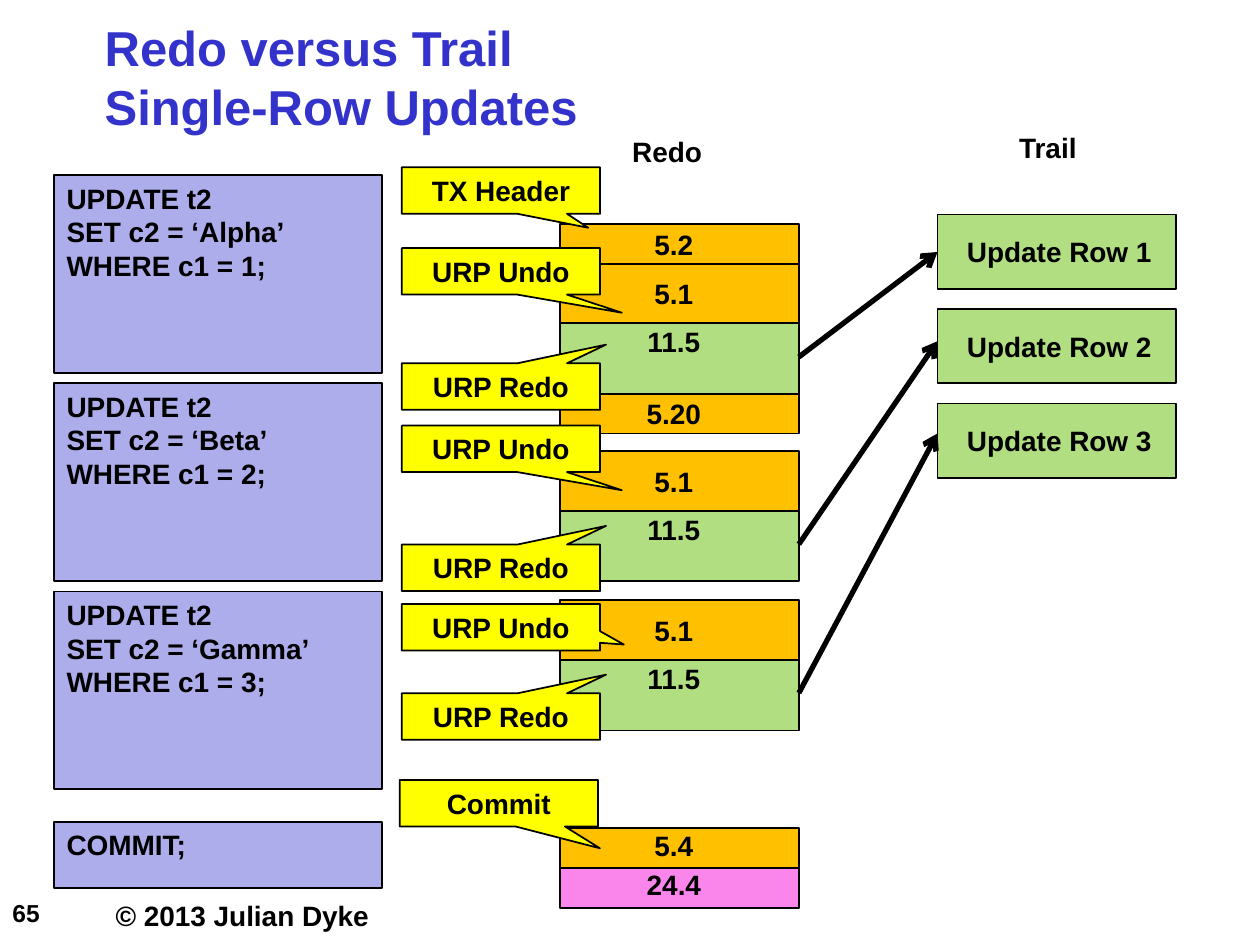
from lxml.etree import SubElement
from pptx import Presentation
from pptx.dml.color import RGBColor
from pptx.enum.shapes import MSO_CONNECTOR, MSO_SHAPE
from pptx.enum.text import MSO_ANCHOR, MSO_AUTO_SIZE, PP_ALIGN
from pptx.oxml.ns import qn
from pptx.util import Pt

COLORS = {
    "black": "000000", "title": "3333CC", "sql": "ADADEB", "callout": "FFFF00",
    "undo": "FFC000", "redo": "B2DE82", "commit": "FA86EC",
}

TITLE = "Redo versus Trail\vSingle-Row Updates"
# text, top, height; \v breaks a line
STATEMENTS = [
    ("UPDATE t2\vSET c2 = ‘Alpha’\vWHERE c1 = 1;", 100, 113),
    ("UPDATE t2\vSET c2 = ‘Beta’\vWHERE c1 = 2;", 219, 113),
    ("UPDATE t2\vSET c2 = ‘Gamma’\vWHERE c1 = 3;", 338, 113),
    ("COMMIT;", 469.6, 38),
]
# top of each stack, then its records as (text, kind)
STACKS = [
    (128, [("5.2", "header"), ("5.1", "undo"), ("11.5", "redo"), ("5.20", "header")]),
    (257.8, [("5.1", "undo"), ("11.5", "redo")]),
    (343, [("5.1", "undo"), ("11.5", "redo")]),
    (473.3, [("5.4", "end"), ("24.4", "commit")]),
]
# kind: height, colour, anchor, top inset
RECORDS = {
    "header": (22.7, "undo", MSO_ANCHOR.MIDDLE, 0),
    "undo": (34, "undo", MSO_ANCHOR.MIDDLE, 0),
    "redo": (40.4, "redo", MSO_ANCHOR.TOP, 1),
    "end": (22.7, "undo", MSO_ANCHOR.TOP, 0),
    "commit": (22.7, "commit", MSO_ANCHOR.TOP, 0),
}
UNDO_TIP, REDO_TIP = (0.61, 0.89), (0.53, -0.9)
# text, left, top, tip offset
CALLOUTS = [
    ("TX Header", 229.6, 95.6, (0.44, 0.8)),
    ("URP Undo", 229.6, 141.8, UNDO_TIP),
    ("URP Redo", 229.6, 207.6, REDO_TIP),
    ("URP Undo", 229.6, 243.2, UNDO_TIP),
    ("URP Redo", 229.6, 311.2, REDO_TIP),
    ("URP Undo", 229.6, 345.2, (0.62, 0.37)),
    ("URP Redo", 229.6, 396.2, REDO_TIP),
    ("Commit", 228.4, 445.7, (0.51, 0.97)),
]
TRAIL = ["Update Row 1", "Update Row 2", "Update Row 3"]
ARROW_ENDS = [(204, 144), (311, 195), (396, 247.7)]

REDO_X, TRAIL_X, RECORD_W = 320.2, 535.7, 136.3
TRAIL_TOP, TRAIL_H, TRAIL_STEP = 122.5, 42.5, 54


def rgb(name):
    return RGBColor.from_string(COLORS[name])


def write(sp, text, size=16, color="black", align=PP_ALIGN.LEFT,
          anchor=MSO_ANCHOR.TOP, insets=(7.2, 3.6, 7.2, 3.6), wrap=True):
    """Set bold text; insets run left, top, right, bottom."""
    tf = sp.text_frame
    tf.text = text
    tf.word_wrap = wrap
    tf.auto_size = MSO_AUTO_SIZE.NONE
    tf.vertical_anchor = anchor
    tf.margin_left, tf.margin_top, tf.margin_right, tf.margin_bottom = map(Pt, insets)
    p = tf.paragraphs[0]
    p.alignment = align
    p.font.name, p.font.size, p.font.bold = "Arial", Pt(size), True
    p.font.color.rgb = rgb(color)


def add_box(shapes, box, fill, text, kind=MSO_SHAPE.RECTANGLE, **style):
    sp = shapes.add_shape(kind, *map(Pt, box))
    sp.shadow.inherit = False
    sp.fill.solid()
    sp.fill.fore_color.rgb = rgb(fill)
    sp.line.color.rgb = rgb("black")
    sp.line.width = Pt(1)
    write(sp, text, **style)
    return sp


def add_label(shapes, box, text, **style):
    write(shapes.add_textbox(*map(Pt, box)), text, **style)


def add_arrow(shapes, x1, y1, x2, y2):
    line = shapes.add_connector(MSO_CONNECTOR.STRAIGHT, *map(Pt, (x1, y1, x2, y2)))
    line.line.color.rgb = rgb("black")
    line.line.width = Pt(3)
    SubElement(line.line._get_or_add_ln(), qn("a:tailEnd"), type="arrow")
    SubElement(line._element.spPr, qn("a:effectLst"))


def main():
    prs = Presentation()
    prs.slide_width, prs.slide_height = Pt(720), Pt(540)
    shapes = prs.slides.add_slide(prs.slide_layouts[5]).shapes

    title = shapes.title
    title.left, title.top, title.width, title.height = map(Pt, (59.8, 5.8, 630, 71.3))
    write(title, TITLE, size=28, color="title", anchor=MSO_ANCHOR.BOTTOM,
          insets=(0, 3.6, 0, 0))

    add_label(shapes, (354.2, 73.4, 73.4, 26.6), "Redo")
    add_label(shapes, (575.3, 71.3, 73.4, 26.6), "Trail")
    add_label(shapes, (0, 509.8, 30.2, 23.8), "65", size=14,
              anchor=MSO_ANCHOR.MIDDLE, wrap=False)
    add_label(shapes, (59, 509.8, 160.6, 26.6), "© 2013 Julian Dyke", wrap=False)

    for text, top, height in STATEMENTS:
        add_box(shapes, (31, top, 187.2, height), "sql", text)

    for top, records in STACKS:
        for text, kind in records:
            height, fill, anchor, inset = RECORDS[kind]
            add_box(shapes, (REDO_X, top, RECORD_W, height), fill, text,
                    align=PP_ALIGN.CENTER, anchor=anchor, insets=(0, inset, 6.5, 0))
            top += height

    for i, text in enumerate(TRAIL):
        add_box(shapes, (TRAIL_X, TRAIL_TOP + i * TRAIL_STEP, RECORD_W, TRAIL_H), "redo",
                text, align=PP_ALIGN.CENTER, anchor=MSO_ANCHOR.MIDDLE, insets=(3, 0, 0, 0))

    for start, end in ARROW_ENDS:
        add_arrow(shapes, REDO_X + RECORD_W, start, TRAIL_X, end)

    for text, left, top, tip in CALLOUTS:
        sp = add_box(shapes, (left, top, 113.3, 26.6), "callout", text,
                     kind=MSO_SHAPE.RECTANGULAR_CALLOUT, align=PP_ALIGN.CENTER)
        sp.adjustments[0], sp.adjustments[1] = tip

    prs.save("out.pptx")


if __name__ == "__main__":
    main()
